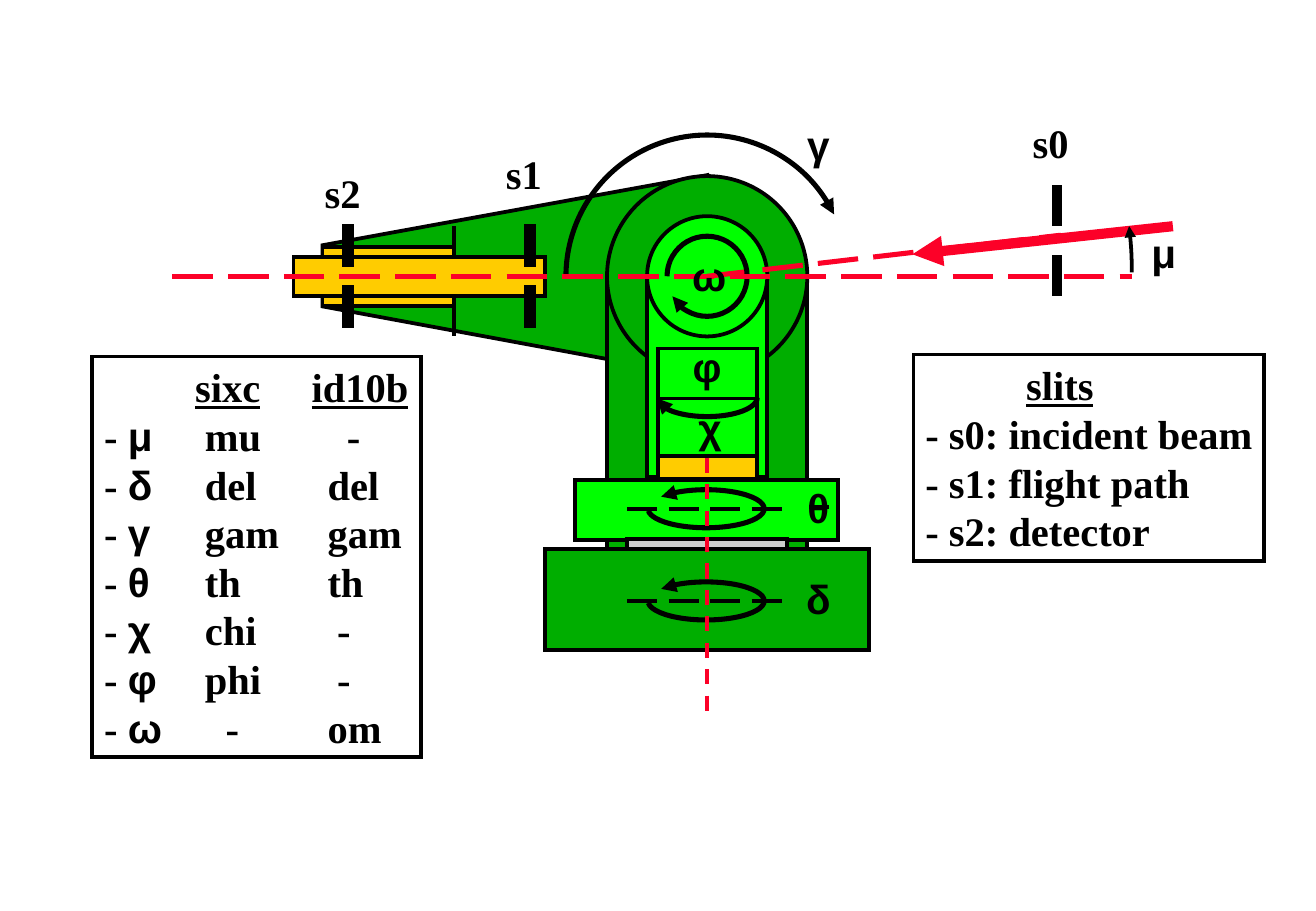
import pptx
import pptx.dml.color
import pptx.enum.dml
import pptx.enum.shapes
import pptx.enum.text
import pptx.oxml.ns
import pptx.util
from lxml import etree

SERIF, SANS = "Times New Roman", "Arial"
BLACK, RED, AMBER, GREY = "000000", "FC0128", "FFCC00", "CECECE"
DARK, LIGHT = "00AE00", "00FF00"

# The outer disc spans ten grid cells; cells count from its centre (x right, y down).
DISC = 1.65
CELL = DISC / 10
AXIS_X, AXIS_Y = 5 + DISC / 2, 1.45 + DISC / 2

ARM = [(0, -5.05), (-19.2, -1.55), (-19.2, 1.5), (0, 5.05)]
ARM_DIVIDER = ((-12.65, -2.5), (-12.65, 3))

BODIES = [  # preset, left, top, width, height, colour
    ("RECTANGLE", -8.1, 13.6, 16.2, 5.05, DARK),     # delta base
    ("RECTANGLE", -5, 0, 10, 13.6, DARK),            # outer pillar
    ("RECTANGLE", -6.6, 10.15, 13.15, 3, LIGHT),     # theta stage
    ("OVAL", -5, -5, 10, 10, DARK),
    ("RECTANGLE", -3, 0, 6, 10, LIGHT),              # inner pillar
    ("OVAL", -3, -3, 6, 6, LIGHT),
    ("RECTANGLE", -2.45, 6.1, 4.95, 2.85, LIGHT),    # chi cell
    ("RECTANGLE", -2.45, 3.6, 4.95, 2.5, LIGHT),     # phi cell
    ("RECTANGLE", -4, 13.1, 8, 0.5, GREY),
    ("RECTANGLE", -2.45, 8.95, 4.95, 1.15, AMBER),
    ("RECTANGLE", -19.2, -1.45, 6.55, 2.95, AMBER),  # detector
    ("RECTANGLE", -20.65, -0.95, 12.55, 1.95, AMBER),  # flight tube
]

SLITS = [  # left, tops of the two blades, line width
    (17.25, (-4.5, -1), 1),
    (-9.05, (-2.5, 0.55), 2.25),
    (-18.15, (-2.5, 0.55), 2.25),
]
BLADE = (0.42, 1.95)

STAGE_ROWS = (11.6, 16.2)  # theta and delta
ARCS = [  # centre, radii, start and end angle clockwise, arrow end, width
    *[((-0.05, y), (2.9, 0.95), 195, 178, "headEnd", 3) for y in STAGE_ROWS],
    ((0, 0), (7.05, 7.05), 180, 334, "tailEnd", 3),    # gamma
    ((0, 0), (2, 2), 180, 150, "tailEnd", 3),          # omega
    ((0, 6.05), (2.5, 0.95), 0, 179, "tailEnd", 3),    # phi
    ((0, -0.2), (21.2, 20.65), 353.75, 0, "headEnd", 2.25),  # mu
]

LINES = [  # from, to, colour, width, dash, arrow end
    ((0, 0), (17.65, -2.05), RED, 3, "LONG_DASH", None),
    *[((-4, y), (4, y), BLACK, 2.25, "LONG_DASH", None) for y in STAGE_ROWS],
    ((10.25, -1.1), (23.25, -2.5), RED, 6, None, "headEnd"),
    ((5.1, 11.5), (6.1, 11.5), BLACK, 2.25, None, None),
]
BEAM_AXES = [
    ((-26.7, 0), (21.2, 0), RED, 3, "LONG_DASH", None),
    ((0, 9.05), (0, 21.75), RED, 2.25, "DASH", None),
]

LABELS = [  # text, centre, font
    ("γ", 5.55, -6.6, SANS), ("δ", 5.55, 16.05, SANS), ("θ", 5.55, 11.5, SANS),
    ("φ", 0, 4.5, SANS), ("χ", 0.15, 7.5, SANS), ("μ", 22.8, -1.2, SANS),
    ("ω", 0.1, -0.05, SANS),
    ("s2", -18.2, -4.2, SERIF), ("s1", -9.15, -5.15, SERIF), ("s0", 17.15, -6.7, SERIF),
]
LABEL_WIDTHS, LABEL_HEIGHT = {SANS: 2.4, SERIF: 3}, 3

MOTOR_BOX, SLIT_BOX = (-30.7, 4, 16.4, 20), (10.3, 3.9, 17.5, 10.3)
MOTORS = [  # angle, sixc name, id10b name, tab stops in inches
    ("μ", "mu", "-", (0.83, 2.0)),
    ("δ", "del", "del", (0.83, 1.84)),
    ("γ", "gam", "gam", (0.83, 1.84)),
    ("θ", "th", "th", (0.83, 1.84)),
    ("χ", "chi", "-", (0.83, 1.92)),
    ("φ", "phi", "-", (0.83, 1.92)),
    ("ω", "-", "om", (1.0, 1.84)),
]
SLIT_NOTES = ["- s0: incident beam", "- s1: flight path", "- s2: detector"]


def x(col):
    return pptx.util.Inches(AXIS_X + col * CELL)


def y(row):
    return pptx.util.Inches(AXIS_Y + row * CELL)


def size(cells):
    return pptx.util.Inches(cells * CELL)


def frame(left, top, width, height):
    return x(left), y(top), size(width), size(height)


def rgb(value):
    return pptx.dml.color.RGBColor.from_string(value)


def sub(parent, tag, **attrs):
    return etree.SubElement(parent, pptx.oxml.ns.qn(tag), attrs)


def outline(s, color=BLACK, width=2.25, dash=None, arrow=None):
    s.line.color.rgb = rgb(color)
    s.line.width = pptx.util.Pt(width)
    if dash:
        s.line.dash_style = pptx.enum.dml.MSO_LINE[dash]
    ln = s._element.spPr.find(pptx.oxml.ns.qn("a:ln"))
    sub(ln, "a:miter", lim="800000")
    if arrow:
        sub(ln, f"a:{arrow}", type="triangle")


def paint(s, fill=None, **line):
    s.shadow.inherit = False
    if fill:
        s.fill.solid()
        s.fill.fore_color.rgb = rgb(fill)
    else:
        s.fill.background()
    outline(s, **line)


def add_body(shapes, preset, box, fill=None, **line):
    s = shapes.add_shape(pptx.enum.shapes.MSO_SHAPE[preset], *frame(*box))
    paint(s, fill, **line)
    return s


def add_arc(shapes, centre, radii, start, end, **line):
    (cx, cy), (rx, ry) = centre, radii
    s = add_body(shapes, "ARC", (cx - rx, cy - ry, 2 * rx, 2 * ry), **line)
    for i, angle in enumerate((start, end)):
        s.adjustments[i] = angle * 0.6  # 60000 units a degree, 100000 to one


def add_outline_shape(shapes, points, fill):
    points = [(x(col), y(row)) for col, row in points]
    builder = shapes.build_freeform(*points[0])
    builder.add_line_segments(points[1:], close=True)
    paint(builder.convert_to_shape(), fill)


def add_line(shapes, start, end, color=BLACK, width=2.25, dash=None, arrow=None):
    s = shapes.add_connector(pptx.enum.shapes.MSO_CONNECTOR.STRAIGHT,
                             x(start[0]), y(start[1]), x(end[0]), y(end[1]))
    outline(s, color, width, dash, arrow)
    sub(s._element.spPr, "a:effectLst")


def set_frame(s, inset=0.0):
    tf = s.text_frame
    tf.word_wrap = True
    tf.vertical_anchor = pptx.enum.text.MSO_ANCHOR.TOP
    tf.margin_left, tf.margin_right = pptx.util.Inches(inset), 0
    return tf


def write(p, text, font=SERIF, underline=False):
    r = p.add_run()
    r.text = text
    r.font.name, r.font.size, r.font.bold = font, pptx.util.Pt(24), True
    r.font.underline = underline
    r.font.color.rgb = rgb(BLACK)


def next_line(tf, tabs=()):
    """Return the empty first paragraph or a new one, left aligned, with its tab stops."""
    p = tf.paragraphs[0] if not tf.paragraphs[0].runs else tf.add_paragraph()
    p.alignment = pptx.enum.text.PP_ALIGN.LEFT
    if tabs:
        stops = sub(p._p.get_or_add_pPr(), "a:tabLst")
        for stop in tabs:
            sub(stops, "a:tab", pos=str(pptx.util.Inches(stop)), algn="l")
    return p


def add_header(tf, names, tabs):
    p = next_line(tf, tabs)
    for name in names:
        write(p, "\t")
        write(p, name, underline=True)


def main():
    prs = pptx.Presentation()
    prs.slide_width, prs.slide_height = pptx.util.Inches(10.84), pptx.util.Inches(7.5)
    shapes = prs.slides.add_slide(prs.slide_layouts[6]).shapes

    tf = set_frame(add_body(shapes, "RECTANGLE", MOTOR_BOX), inset=0.1)
    add_header(tf, ["sixc", "id10b"], (0.75, 1.71))
    for angle, sixc, id10b, tabs in MOTORS:
        p = next_line(tf, tabs)
        write(p, "- ")
        write(p, angle + "\t", font=SANS)
        write(p, f"{sixc}\t{id10b}")

    tf = set_frame(add_body(shapes, "RECTANGLE", SLIT_BOX), inset=0.1)
    add_header(tf, ["slits"], (0.83,))
    for note in SLIT_NOTES:
        write(next_line(tf), note)

    add_outline_shape(shapes, ARM, DARK)
    add_line(shapes, *ARM_DIVIDER)
    for preset, *box, fill in BODIES:
        add_body(shapes, preset, box, fill)
    for line in LINES:
        add_line(shapes, *line)
    for *ellipse, arrow, width in ARCS:
        add_arc(shapes, *ellipse, arrow=arrow, width=width)
    for left, tops, width in SLITS:
        for top in tops:
            add_body(shapes, "RECTANGLE", (left, top, *BLADE), BLACK, width=width)
    for line in BEAM_AXES:
        add_line(shapes, *line)

    for text, col, row, font in LABELS:
        w, h = LABEL_WIDTHS[font], LABEL_HEIGHT
        p = next_line(set_frame(shapes.add_textbox(*frame(col - w / 2, row - h / 2, w, h))))
        p.alignment = pptx.enum.text.PP_ALIGN.CENTER
        write(p, text, font=font)
    prs.save("out.pptx")


if __name__ == "__main__":
    main()
